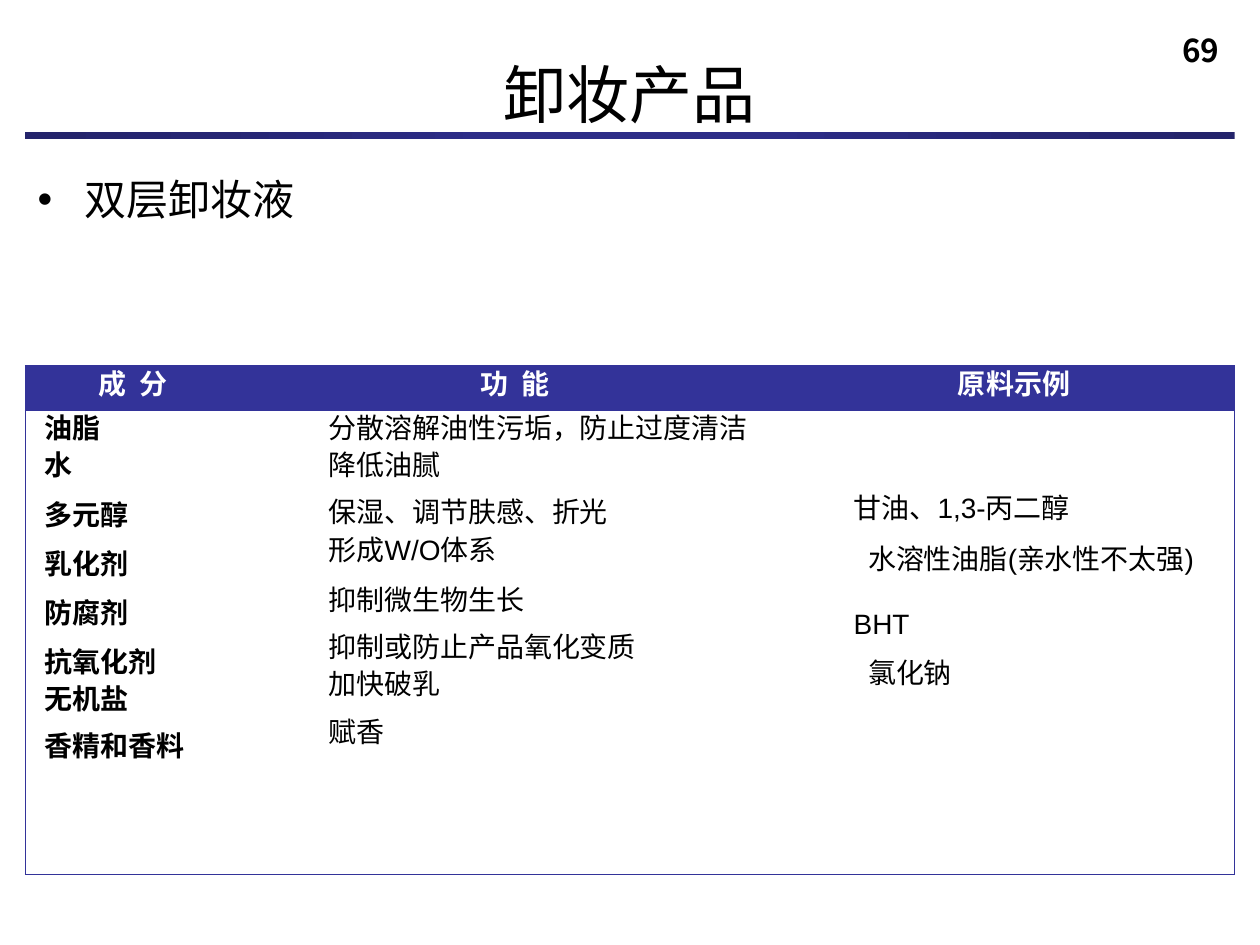
import pptx
import pptx.dml.color
import pptx.enum.shapes
import pptx.enum.text
import pptx.oxml
import pptx.oxml.ns
import pptx.util
from pptx.util import Cm

NS = 'xmlns:a="http://schemas.openxmlformats.org/drawingml/2006/main"'
SC, TC = "Noto Sans CJK SC", "Noto Sans CJK TC"
BLUE, BLACK, WHITE = "333399", "000000", "FFFFFF"
ALIGN = pptx.enum.text.PP_ALIGN


def rgb(value):
    return pptx.dml.color.RGBColor.from_string(value)


def xml(text):
    return pptx.oxml.parse_xml(text)


def write(p, text, size=16, font="Arial", east=SC, color=BLACK, bold=False,
          align=None, line=None, before=0, left=0, hang=0, bullet=None, spc=0):
    """Fill one paragraph; line is a factor (float) or a pptx.util.Pt."""
    pPr = p._p.get_or_add_pPr()
    pPr.set("marL", str(Cm(left)))
    pPr.set("indent", str(-Cm(hang)))
    if bullet:
        pPr.append(xml(f'<a:buFont {NS} typeface="Arial"/>'))
        pPr.append(xml(f'<a:buChar {NS} char="{bullet}"/>'))
    if align is not None:
        p.alignment = align
    if line:
        p.line_spacing = line
    if before:
        p.space_before = pptx.util.Pt(before)
    r = p.add_run()
    r.text = text
    r.font.size = pptx.util.Pt(size)
    r.font.bold = bold
    r.font.color.rgb = rgb(color)
    r.font.name = font
    rPr = r._r.get_or_add_rPr()
    rPr.find(pptx.oxml.ns.qn("a:latin")).addnext(
        xml(f'<a:ea {NS} typeface="{east}"/>'))
    if spc:
        rPr.set("spc", str(round(spc * 100)))


class Deck:
    def __init__(self, width, height):
        self.prs = pptx.Presentation()
        self.prs.slide_width, self.prs.slide_height = Cm(width), Cm(height)
        self.s = self.prs.slides.add_slide(self.prs.slide_layouts[6])

    def text(self, x, y, w, h, text, **fmt):
        tf = self.s.shapes.add_textbox(Cm(x), Cm(y), Cm(w), Cm(h)).text_frame
        tf.word_wrap = True
        write(tf.paragraphs[0], text, **fmt)

    def bar(self, x, y, w, h, stops):
        sp = self.s.shapes.add_shape(
            pptx.enum.shapes.MSO_SHAPE.RECTANGLE, Cm(x), Cm(y), Cm(w), Cm(h))
        sp.shadow.inherit = False
        sp.line.fill.background()
        gs = "".join(f'<a:gs pos="{pos * 1000}"><a:srgbClr val="{c}"/></a:gs>'
                     for pos, c in stops)
        geom = sp._element.spPr.find(pptx.oxml.ns.qn("a:prstGeom"))
        geom.addnext(xml(
            f'<a:gradFill {NS}><a:gsLst>{gs}</a:gsLst><a:path path="circle">'
            '<a:fillToRect l="50000" t="50000" r="50000" b="50000"/>'
            '</a:path></a:gradFill>'))

    def table(self, x, y, widths, heights):
        table = self.s.shapes.add_table(
            len(heights), len(widths), Cm(x), Cm(y),
            Cm(sum(widths)), Cm(sum(heights))).table
        table.horz_banding = False
        for column, w in zip(table.columns, widths):
            column.width = Cm(w)
        for row, h in zip(table.rows, heights):
            row.height = Cm(h)
        return table

    def cell(self, cell, lines, sides, fill=None, top=0, **fmt):
        """lines holds (text, space before, line spacing, left indent)."""
        cell.margin_left = cell.margin_right = cell.margin_bottom = 0
        cell.margin_top = Cm(top)
        if fill:
            cell.fill.solid()
            cell.fill.fore_color.rgb = rgb(fill)
        else:
            cell.fill.background()
        tf = cell.text_frame
        for i, (text, before, line, left) in enumerate(lines):
            p = tf.add_paragraph() if i else tf.paragraphs[0]
            write(p, text, before=before, line=line, left=left, **fmt)
        tcPr = cell._tc.get_or_add_tcPr()
        for i, side in enumerate("LRTB"):
            paint = (f'<a:solidFill><a:srgbClr val="{BLUE}"/></a:solidFill>'
                     if side in sides else "<a:noFill/>")
            tcPr.insert(i, xml(f'<a:ln{side} {NS} w="6350">{paint}</a:ln{side}>'))


def main():
    deck = Deck(25.4, 19.05)

    # Page number, title and rule
    deck.text(23.04, 0.51, 2.34, 1.19, "69", size=18, font=SC, bold=True,
              align=ALIGN.CENTER)
    deck.bar(0.51, 2.67, 24.38, 0.13,
             [(0, "2D2D88"), (23, "2D2D88"), (69, "262673"), (97, "24246B")])
    deck.text(0, 0.99, 25.4, 1.8, "卸妆产品", size=36, font=TC, east=TC,
              align=ALIGN.CENTER)

    # Bullet
    deck.text(0.51, 2.87, 24.38, 1.6, "双层卸妆液", size=24, line=1.5,
              left=0.95, hang=0.95, bullet="•")

    # Table header
    table = deck.table(0.51, 7.37, (5.72, 10.84, 7.82), (0.91, 9.35))
    headers = [("成 分", 1.47, 2), ("功 能", 3.45, 2), ("原料示例", 2.24, 0.2)]
    edges = ["L", "", "R"]
    for col, (text, left, spc) in enumerate(headers):
        deck.cell(table.cell(0, col), [(text, 0, 0.91, left)],
                  edges[col] + "T", fill=BLUE, color=WHITE, bold=True, spc=spc)

    # Table body: ingredients, functions, examples
    exact = pptx.util.Pt(20.4)
    ingredients = [
        ("油脂", 0, exact, 0.39), ("水", 0, 0.91, 0.39),
        ("多元醇", 7.5, 0.91, 0.39), ("乳化剂", 6.8, 0.91, 0.39),
        ("防腐剂", 7, 0.91, 0.39), ("抗氧化剂", 8, exact, 0.39),
        ("无机盐", 0, 0.9, 0.39), ("香精和香料", 6, 0.91, 0.39)]
    functions = [
        ("分散溶解油性污垢，防止过度清洁", 0, exact, 0.4),
        ("降低油腻", 0, 0.91, 0.4), ("保湿、调节肤感、折光", 6.9, exact, 0.4),
        ("形成W/O体系", 0, 0.91, 0.4), ("抑制微生物生长", 7.8, 0.91, 0.4),
        ("抑制或防止产品氧化变质", 6.9, exact, 0.4),
        ("加快破乳", 0, 0.91, 0.4), ("赋香", 6, 0.92, 0.4)]
    examples = [
        ("甘油、1,3-丙二醇", 0, 0.91, 0.14),
        ("水溶性油脂(亲水性不太强)", 8.2, 0.91, 0.43),
        ("BHT", 18, 1.04, 0.14), ("氯化钠", 7.3, 0.92, 0.43)]
    deck.cell(table.cell(1, 0), ingredients, "LTB", bold=True)
    deck.cell(table.cell(1, 1), functions, "TB")
    deck.cell(table.cell(1, 2), examples, "RTB", top=1.58)

    deck.prs.save("out.pptx")


if __name__ == "__main__":
    main()
